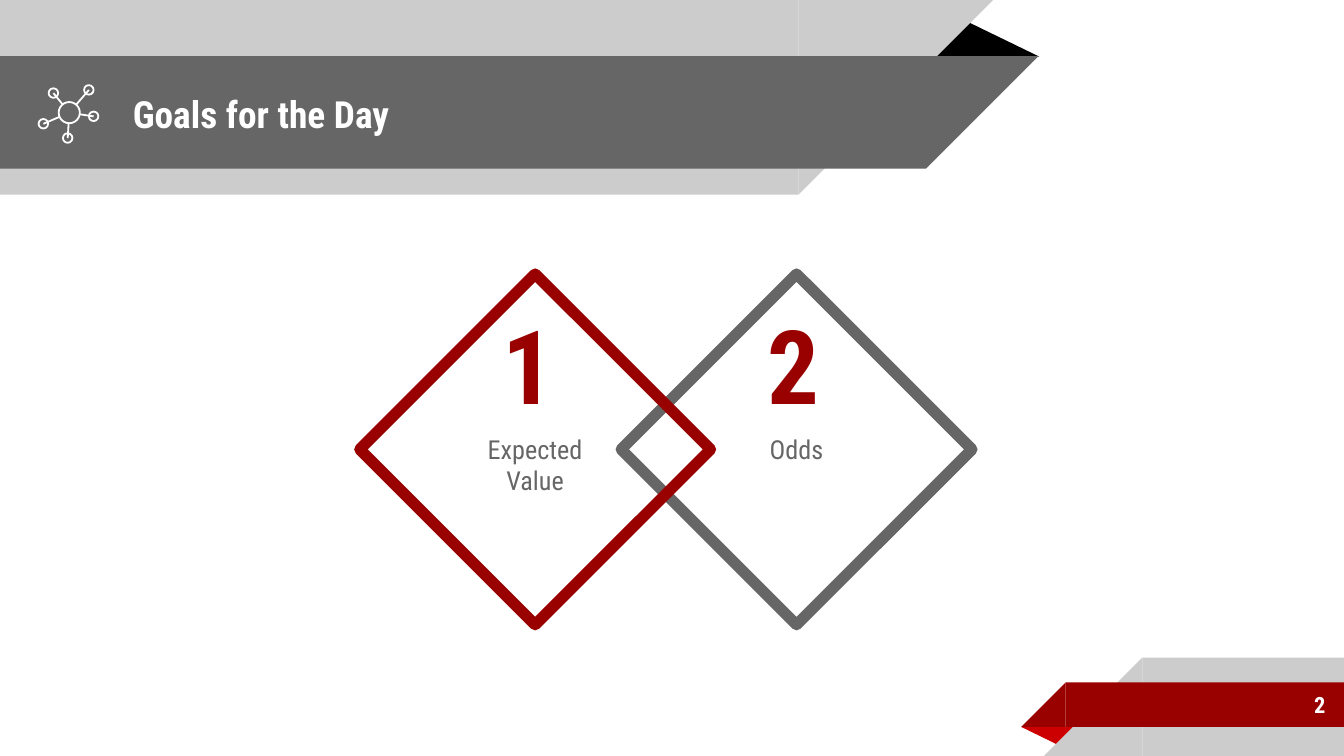
import math

import pptx
import pptx.dml.color
import pptx.enum.shapes
import pptx.enum.text
import pptx.util
from pptx.dml.color import RGBColor
from pptx.enum.shapes import MSO_CONNECTOR, MSO_SHAPE
from pptx.enum.text import MSO_ANCHOR, PP_ALIGN
from pptx.oxml.ns import qn
from pptx.util import Cm

WHITE = RGBColor(0xFF, 0xFF, 0xFF)
BLACK = RGBColor(0x00, 0x00, 0x00)
LIGHT_GRAY = RGBColor(0xCC, 0xCC, 0xCC)
DARK_GRAY = RGBColor(0x66, 0x66, 0x66)
DARK_RED = RGBColor(0x99, 0x00, 0x00)
RED = RGBColor(0xCC, 0x00, 0x00)

SLIDE_WIDTH, SLIDE_HEIGHT = 25.4, 14.29


class SlideBuilder:
    """Draws on one slide; all lengths are in centimetres."""

    font_name = "Roboto Condensed"
    inset = 0.25
    icon_line = 0.96

    def __init__(self, slide):
        self.slide = slide

    def shape(self, kind, left, top, width, height, fill=None, line=None,
              line_width=1, rotation=0):
        shape = self.slide.shapes.add_shape(
            kind, Cm(left), Cm(top), Cm(width), Cm(height))
        shape.shadow.inherit = False
        shape.rotation = rotation
        if fill is None:
            shape.fill.background()
        else:
            shape.fill.solid()
            shape.fill.fore_color.rgb = fill
        if line is None:
            shape.line.fill.background()
        else:
            shape.line.color.rgb = line
            shape.line.width = pptx.util.Pt(line_width)
        return shape

    def fold(self, left, top, width, height, color, rotation=0):
        corner = self.shape(MSO_SHAPE.ISOSCELES_TRIANGLE, left, top, width,
                            height, color, rotation=rotation)
        corner.adjustments[0] = 0.324

    def left_band(self, top, width, height, color):
        """Band from the left edge, with a slanted right end."""
        self.shape(MSO_SHAPE.RECTANGLE, 0, top, width, height, color)
        self.shape(MSO_SHAPE.RIGHT_TRIANGLE, width, top, height, height,
                   color, rotation=90)

    def right_band(self, left, top, height, color):
        """Band up to the right edge, with a slanted left end."""
        self.shape(MSO_SHAPE.RECTANGLE, left, top, SLIDE_WIDTH - left, height,
                   color)
        self.shape(MSO_SHAPE.RIGHT_TRIANGLE, left - height, top, height,
                   height, color, rotation=270)

    def set_text(self, shape, words, size, color, bold=False,
                 align=PP_ALIGN.LEFT, anchor=MSO_ANCHOR.MIDDLE, top_space=0):
        frame = shape.text_frame
        frame.word_wrap = True
        frame.vertical_anchor = anchor
        frame.margin_left = frame.margin_right = Cm(self.inset)
        frame.margin_bottom = Cm(self.inset)
        frame.margin_top = Cm(self.inset + top_space)
        paragraph = frame.paragraphs[0]
        paragraph.text = words
        paragraph.alignment = align
        paragraph.font.name = self.font_name
        paragraph.font.size = pptx.util.Pt(size)
        paragraph.font.bold = bold
        paragraph.font.color.rgb = color

    def text(self, words, left, top, width, height, size, color, **style):
        box = self.slide.shapes.add_textbox(
            Cm(left), Cm(top), Cm(width), Cm(height))
        self.set_text(box, words, size, color, **style)

    def diamond(self, words, left, top, size, line, fill=None, top_space=0):
        goal = self.shape(MSO_SHAPE.DIAMOND, left, top, size, size, fill,
                          line, 6)
        self.set_text(goal, words, 14, DARK_GRAY, align=PP_ALIGN.CENTER,
                      top_space=top_space)

    def ring(self, x, y, radius):
        self.shape(MSO_SHAPE.OVAL, x - radius, y - radius, 2 * radius,
                   2 * radius, line=WHITE, line_width=self.icon_line)

    def spoke(self, x1, y1, x2, y2):
        line = self.slide.shapes.add_connector(
            MSO_CONNECTOR.STRAIGHT, Cm(x1), Cm(y1), Cm(x2), Cm(y2))
        line.line.color.rgb = WHITE
        line.line.width = pptx.util.Pt(self.icon_line)
        properties = line._element.spPr
        properties.append(properties.makeelement(qn("a:effectLst"), {}))

    def network_icon(self, hub, hub_radius, nodes, node_radius):
        for node in nodes:
            self.ring(*node, node_radius)
        self.ring(*hub, hub_radius)
        for x, y in nodes:
            reach = hub_radius / math.dist(hub, (x, y))
            self.spoke(x, y, hub[0] + (x - hub[0]) * reach,
                       hub[1] + (y - hub[1]) * reach)


def main():
    deck = pptx.Presentation()
    deck.slide_width, deck.slide_height = Cm(SLIDE_WIDTH), Cm(SLIDE_HEIGHT)
    goals = SlideBuilder(deck.slides.add_slide(deck.slide_layouts[6]))

    # Header ribbon
    goals.fold(17.48, 0.36, 2.16, 0.71, BLACK)
    goals.left_band(0, 15.09, 3.68, LIGHT_GRAY)
    goals.left_band(1.06, 17.5, 2.13, DARK_GRAY)

    # Footer ribbon
    goals.fold(19.3, 13.74, 1.09, 0.36, RED, rotation=180)
    goals.right_band(21.59, 12.43, 1.86, LIGHT_GRAY)
    goals.right_band(20.14, 12.9, 0.84, DARK_RED)

    # Title and slide number
    goals.text("Goals for the Day", 2.26, 1.09, 14.6, 2.13, 20, WHITE,
               bold=True)
    goals.text("2", 21.16, 12.88, 4.14, 0.89, 12, WHITE, bold=True,
               align=PP_ALIGN.RIGHT)

    # Goals, the second one behind the first
    goals.diamond("Odds", 11.74, 5.18, 6.63, DARK_GRAY, fill=WHITE)
    goals.diamond("Expected Value", 6.8, 5.18, 6.63, DARK_RED, top_space=0.58)

    # Network icon
    goals.network_icon(
        hub=(1.31, 2.13), hub_radius=0.2, node_radius=0.09,
        nodes=[(1.68, 1.7), (1.01, 1.76), (0.82, 2.34), (1.28, 2.61),
               (1.77, 2.2)])

    # Goal numbers
    for number, left in (("1", 9.25), ("2", 14.25)):
        goals.text(number, left, 5.49, 1.37, 2.79, 55, DARK_RED, bold=True,
                   anchor=MSO_ANCHOR.BOTTOM)

    deck.save("out.pptx")


if __name__ == "__main__":
    main()
